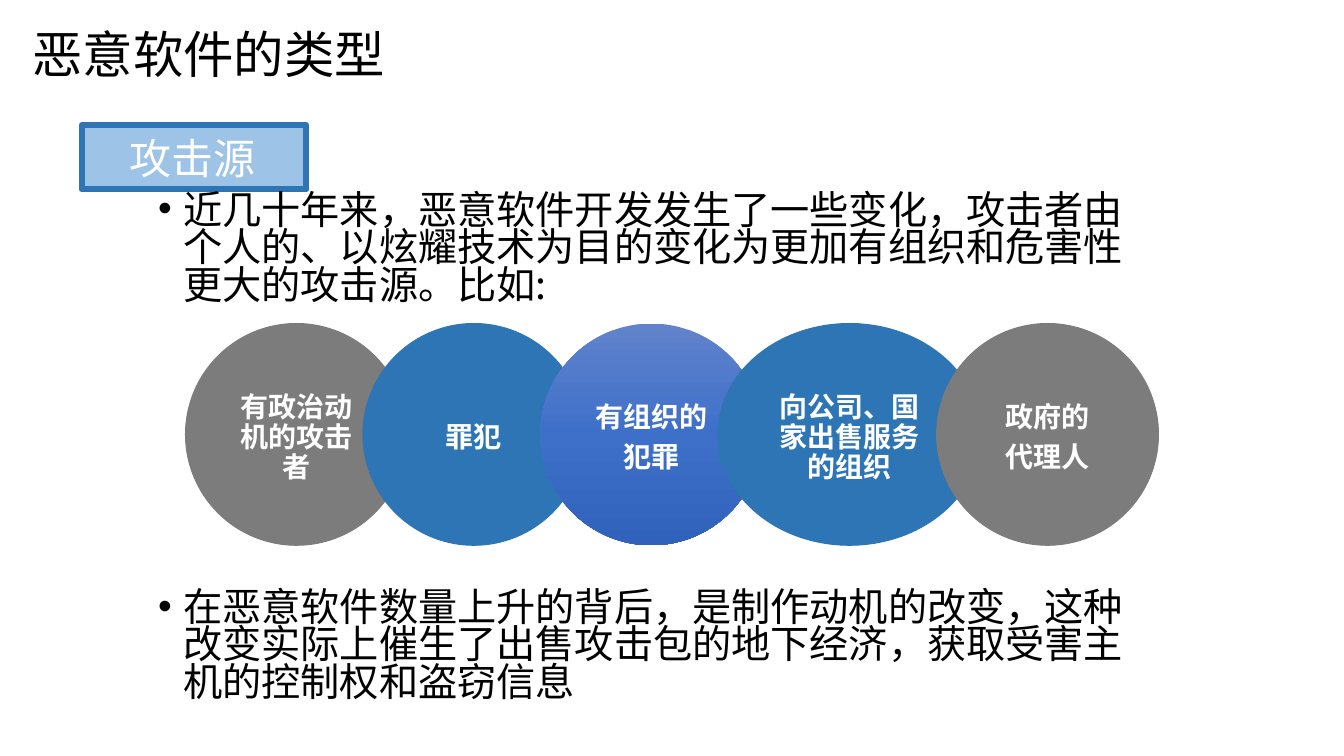
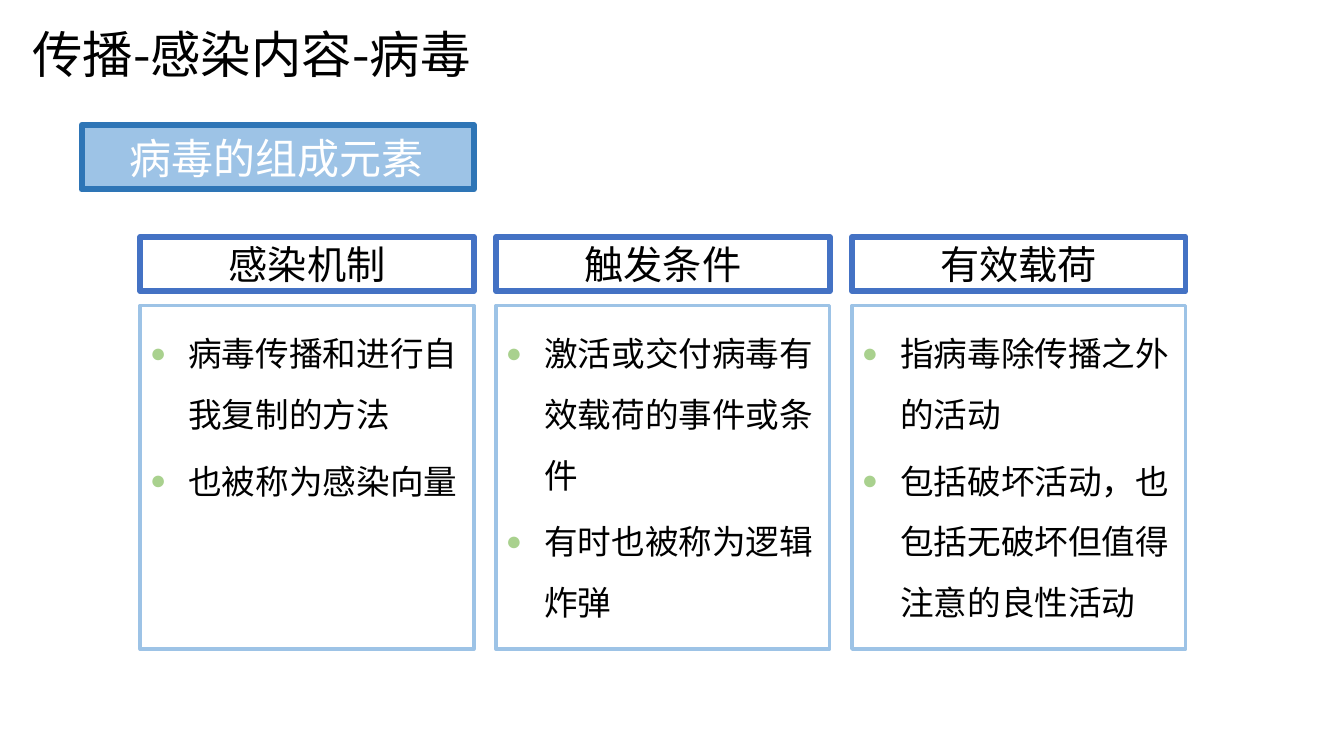
from copy import deepcopy

from lxml.etree import SubElement
from pptx import Presentation
from pptx.dml.color import RGBColor
from pptx.enum.shapes import MSO_SHAPE
from pptx.enum.text import MSO_ANCHOR, PP_ALIGN
from pptx.oxml.ns import qn
from pptx.util import Inches, Pt

FONT = "Noto Sans CJK SC"
COLORS = {
    "text": "000000", "white": "FFFFFF",
    "light_blue": "9DC3E6", "blue": "2E75B6", "royal": "4472C4",
    "gray": "7C7C7C", "green": "A9D18E",
}
GRADIENT = [(0, "6183CB"), (0.5, "3E70CA"), (1, "3062BB")]

# Shared grid, in inches
BANNER_LEFT, BANNER_TOP, BANNER_HEIGHT = 0.81, 1.24, 0.64
COLUMN_LEFT, COLUMN_WIDTH, COLUMN_STEP = 1.39, 3.31, 3.53
HEADING_TOP, HEADING_HEIGHT = 2.35, 0.54
CARD_TOP, CARD_HEIGHT = 3.03, 3.41
CIRCLE_LEFT, CIRCLE_TOP, CIRCLE_SIZE = 1.84, 3.21, 2.2
CIRCLE_OVERLAP = CIRCLE_SIZE / 5


def rgb(name):
    return RGBColor.from_string(COLORS[name])


def add_bullet(paragraph, character, indent, color=None, percent=None):
    properties = paragraph._p.get_or_add_pPr()
    properties.set("marL", str(Inches(indent)))
    properties.set("indent", str(-Inches(indent)))
    if color:
        holder = SubElement(properties, qn("a:buClr"))
        SubElement(holder, qn("a:srgbClr")).set("val", COLORS[color])
    if percent:
        SubElement(properties, qn("a:buSzPct")).set("val", str(percent * 1000))
    SubElement(properties, qn("a:buFont")).set("typeface", "Arial")
    SubElement(properties, qn("a:buChar")).set("char", character)


def write_text(shape, lines, size, color="text", bold=False, align=PP_ALIGN.LEFT,
               anchor=MSO_ANCHOR.TOP, insets=(0.1, 0.05, 0.1, 0.05),
               line_height=None, gap=0, bullet=None):
    frame = shape.text_frame
    frame.text = "\n".join(lines)
    frame.word_wrap = True
    frame.vertical_anchor = anchor
    (frame.margin_left, frame.margin_top,
     frame.margin_right, frame.margin_bottom) = map(Inches, insets)
    for index, paragraph in enumerate(frame.paragraphs):
        if bullet:
            add_bullet(paragraph, **bullet)
        paragraph.alignment = align
        paragraph.space_before = Pt(gap if index else 0)
        if line_height:
            paragraph.line_spacing = Pt(line_height)
        for run in paragraph.runs:
            run.font.name = FONT
            run.font.size = Pt(size)
            run.font.bold = bold
            run.font.color.rgb = rgb(color)
            east_asian = SubElement(run._r.get_or_add_rPr(), qn("a:ea"))
            east_asian.set("typeface", FONT)


def add_box(slide, kind, left, top, width, height, fill=None, line=None, weight=0.75):
    shape = slide.shapes.add_shape(
        kind, Inches(left), Inches(top), Inches(width), Inches(height))
    shape.shadow.inherit = False
    if fill:
        shape.fill.solid()
        shape.fill.fore_color.rgb = rgb(fill)
    else:
        shape.fill.background()
    if line:
        shape.line.color.rgb = rgb(line)
        shape.line.width = Pt(weight)
    else:
        shape.line.fill.background()
    return shape


def apply_gradient(shape):
    shape.fill.gradient()
    shape.fill.gradient_angle = 270
    stop_list = shape._element.spPr.find(".//" + qn("a:gsLst"))
    stop_list.insert(1, deepcopy(stop_list[0]))
    for stop, (position, color) in zip(shape.fill.gradient_stops, GRADIENT):
        stop.position = position
        stop.color.rgb = RGBColor.from_string(color)


def add_titled_slide(presentation, title_text, banner_text, banner_width):
    slide = presentation.slides.add_slide(presentation.slide_layouts[5])
    title = slide.shapes.title
    title.left, title.top = Inches(0.21), 0
    title.width, title.height = Inches(5.91), Inches(1.06)
    write_text(title, [title_text], 36, anchor=MSO_ANCHOR.MIDDLE,
               insets=(0.11, 0.06, 0.11, 0.06))
    banner = add_box(slide, MSO_SHAPE.RECTANGLE, BANNER_LEFT, BANNER_TOP,
                     banner_width, BANNER_HEIGHT, "light_blue", "blue", 4.33)
    write_text(banner, [banner_text], 30, "white", anchor=MSO_ANCHOR.MIDDLE,
               insets=(0.47, 0.06, 0.4, 0), line_height=32)
    return slide


def add_body(slide, top, text):
    box = slide.shapes.add_textbox(Inches(1.47), Inches(top), Inches(10.15), Inches(1.3))
    write_text(box, [text], 28, line_height=26.8,
               bullet={"character": "•", "indent": 0.25})


def add_circle_chain(slide, circles):
    left = CIRCLE_LEFT
    for lines, width, fill in circles:
        circle = add_box(slide, MSO_SHAPE.OVAL, left, CIRCLE_TOP, width,
                         CIRCLE_SIZE, fill, fill)
        if not fill:
            apply_gradient(circle)
        write_text(circle, lines, 20, "white", bold=True, align=PP_ALIGN.CENTER,
                   anchor=MSO_ANCHOR.MIDDLE, insets=(0.12, 0.07, 0.12, 0),
                   line_height=21.5, gap=7)
        left += width - CIRCLE_OVERLAP


def add_card(slide, column, heading, points):
    left = COLUMN_LEFT + column * COLUMN_STEP
    header = add_box(slide, MSO_SHAPE.RECTANGLE, left, HEADING_TOP, COLUMN_WIDTH,
                     HEADING_HEIGHT, line="royal", weight=4)
    write_text(header, [heading], 28, align=PP_ALIGN.CENTER,
               insets=(0.1, 0.08, 0.1, 0), line_height=30)
    card = add_box(slide, MSO_SHAPE.RECTANGLE, left, CARD_TOP, COLUMN_WIDTH,
                   CARD_HEIGHT, line="light_blue", weight=2.5)
    write_text(card, points, 24, insets=(0.1, 0.07, 0.1, 0.05),
               line_height=43.4, gap=4.3,
               bullet={"character": "●", "indent": 0.38, "color": "green", "percent": 80})


def main():
    presentation = Presentation()
    presentation.slide_width, presentation.slide_height = Inches(13.33), Inches(7.5)

    # Attack sources
    slide = add_titled_slide(presentation, "恶意软件的类型", "攻击源", 2.23)
    add_circle_chain(slide, [
        (["有政治动机的攻击者"], CIRCLE_SIZE, "gray"),
        (["罪犯"], CIRCLE_SIZE, "blue"),
        (["有组织的", "犯罪"], CIRCLE_SIZE, None),
        (["向公司、国家出售服务的组织"], 2.61, "blue"),
        (["政府的", "代理人"], CIRCLE_SIZE, "gray"),
    ])
    add_body(slide, 1.88, "近几十年来，恶意软件开发发生了一些变化，攻击者由个人的、"
                          "以炫耀技术为目的变化为更加有组织和危害性更大的攻击源。比如:")
    add_body(slide, 5.82, "在恶意软件数量上升的背后，是制作动机的改变，这种改变实际上"
                          "催生了出售攻击包的地下经济，获取受害主机的控制权和盗窃信息")

    # Virus components
    slide = add_titled_slide(presentation, "传播-感染内容-病毒", "病毒的组成元素", 3.89)
    cards = [
        ("感染机制", ["病毒传播和进行自我复制的方法", "也被称为感染向量"]),
        ("触发条件", ["激活或交付病毒有效载荷的事件或条件", "有时也被称为逻辑炸弹"]),
        ("有效载荷", ["指病毒除传播之外的活动",
                  "包括破坏活动，也包括无破坏但值得注意的良性活动"]),
    ]
    for column, (heading, points) in enumerate(cards):
        add_card(slide, column, heading, points)

    presentation.save("out.pptx")


if __name__ == "__main__":
    main()
